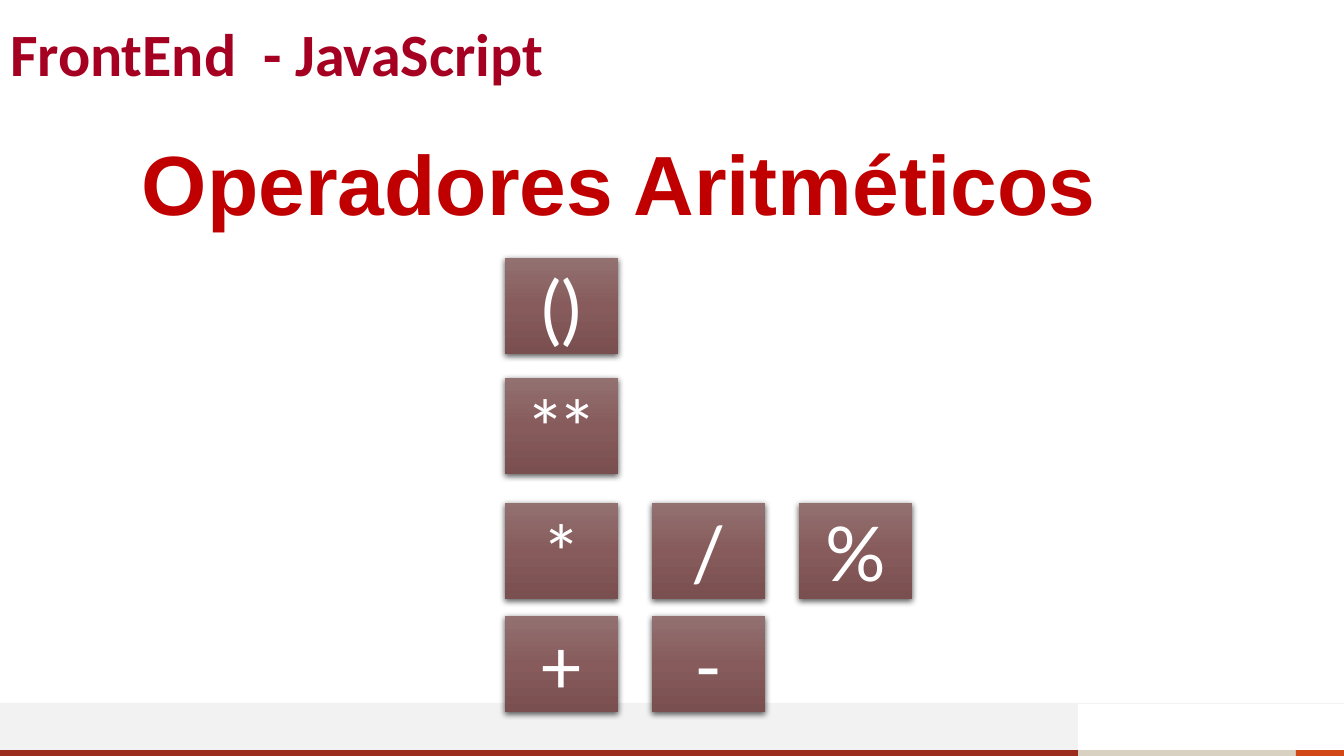
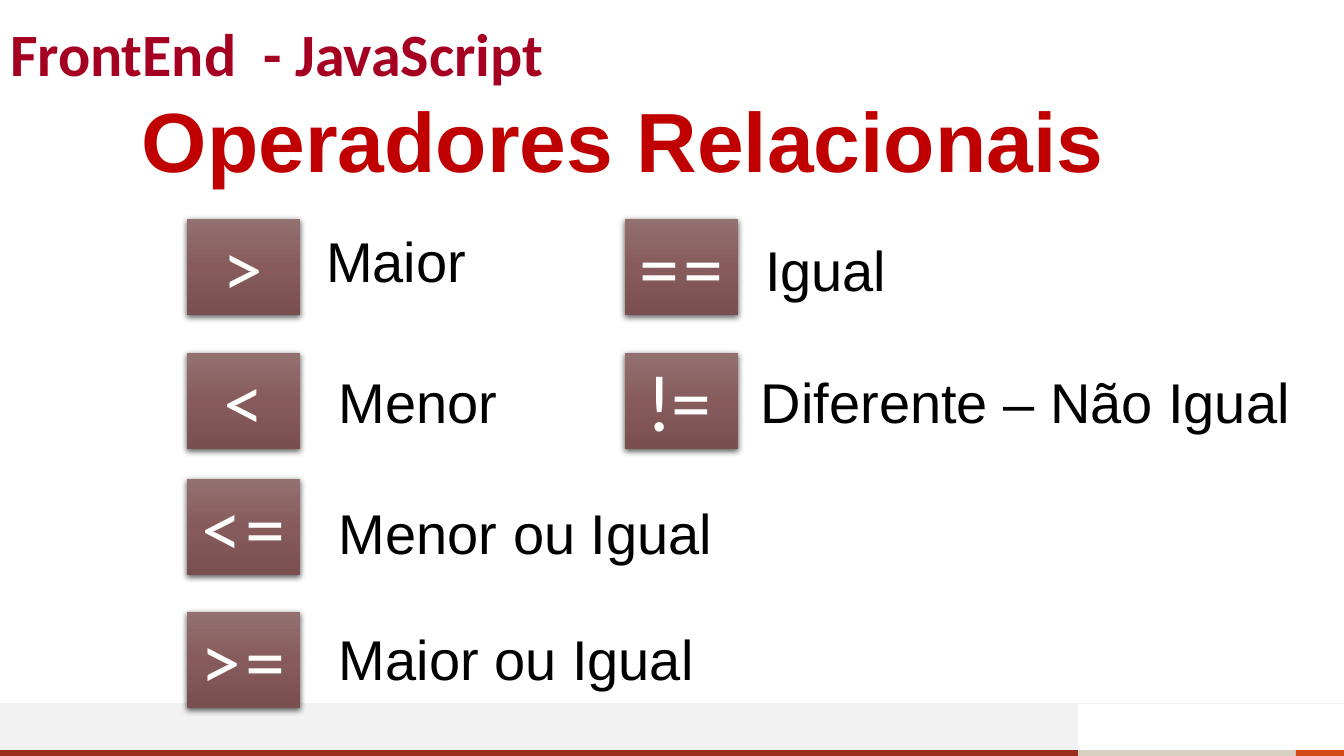
"""Build two slides on JavaScript arithmetic and relational operators."""
from dataclasses import dataclass

from lxml import etree
from pptx import Presentation
from pptx import util as u
from pptx.dml.color import RGBColor
from pptx.enum import shapes, text
from pptx.oxml import ns, parse_xml


@dataclass(frozen=True)
class Theme:
    head: str = "A50021"
    title: str = "C00000"
    ink: str = "000000"
    white: str = "FFFFFF"
    rust: str = "9B2D1F"
    sand: str = "D8D0C0"
    flame: str = "D34817"
    pale: str = "F2F2F2"
    tile: tuple = ((0, "937171"), (50, "875B5B"), (100, "7A4F4F"))
    sans: str = "Arial"
    top: str = "Calibri"
    sign: str = "Lato"
    head_pt: float = 42.9
    title_pt: int = 60
    sign_pt: int = 54
    label_pt: int = 40


T = Theme()
WIDE, HIGH = 1344, 756
TILE_W, TILE_H, STEP = 113, 96, 147
HEADER = "FrontEnd  - JavaScript"
BANDS = [
    (1078, 750, 218, 6, T.sand),
    (0, 703, 1078, 47, T.pale),
    (0, 750, 1078, 6, T.rust),
    (1296, 750, 48, 6, T.flame),
]
MATH = {
    "title": "Operadores Aritméticos",
    "top": 145,
    "left": 505,
    "rows": [(258, ["()"]), (378, ["**"]), (503, ["*", "/", "%"]), (616, ["+", "-"])],
}
TESTS = {
    "title": "Operadores Relacionais",
    "top": 102,
    "rows": [219, 353, 479, 612],
    "cols": [
        (187, 420, [(">", "Maior", 316, 222), ("<", "Menor", 329, 362),
                    ("<=", "Menor ou Igual", 329, 494),
                    (">=", "Maior ou Igual", 329, 620)]),
        (625, 570, [("==", "Igual", 755, 230),
                    ("!=", "Diferente – Não Igual", 751, 362)]),
    ],
}


def px(*nums):
    return [u.Emu(round(n * 914400 / 100.8)) for n in nums]


def write(shape, words, size, color, font=T.sans, bold=False, align="LEFT",
          anchor="MIDDLE", space=1.0, pad=5):
    frame = shape.text_frame
    frame.word_wrap = True
    frame.auto_size = text.MSO_AUTO_SIZE.NONE
    frame.vertical_anchor = getattr(text.MSO_ANCHOR, anchor)
    frame.margin_top, frame.margin_bottom = px(pad, pad)
    frame.margin_left, frame.margin_right = px(10, 10)
    para = frame.paragraphs[0]
    para.alignment = getattr(text.PP_ALIGN, align)
    para.line_spacing = space
    run = para.add_run()
    run.text = words
    run.font.size, run.font.name, run.font.bold = u.Pt(size), font, bold
    run.font.color.rgb = RGBColor.from_string(color)


def box(slide, *at):
    return slide.shapes.add_shape(shapes.MSO_SHAPE.RECTANGLE, *px(*at))


def frame_bands(slide, layout):
    parts = []
    for *at, color in BANDS:
        band = box(slide, *at)
        band.shadow.inherit = False
        band.fill.solid()
        band.fill.fore_color.rgb = RGBColor.from_string(color)
        band.line.fill.background()
        parts.append(band)
    rule = slide.shapes.add_connector(shapes.MSO_CONNECTOR.STRAIGHT, *px(WIDE, 703, 0, 703))
    rule.line.color.rgb = RGBColor.from_string(T.pale)
    rule.line.width = u.Pt(0.5)
    etree.SubElement(rule._element.spPr, ns.qn("a:effectLst"))
    for part in parts + [rule]:
        layout.shapes._spTree.append(part._element)


def add_tile(slide, x, y, sign):
    tile = box(slide, x, y, TILE_W, TILE_H)
    stops = "".join(f'<a:gs pos="{at * 1000}"><a:srgbClr val="{color}"/></a:gs>'
                    for at, color in T.tile)
    props = tile._element.spPr
    props.append(parse_xml(
        f'<a:gradFill {ns.nsdecls("a")}><a:gsLst>{stops}</a:gsLst>'
        '<a:lin ang="5400000" scaled="0"/></a:gradFill>'))
    tile.line.fill.background()
    props.append(parse_xml(
        f'<a:effectLst {ns.nsdecls("a")}><a:outerShdw blurRad="{u.Pt(4.5)}" '
        f'dist="{u.Pt(1.5)}" dir="5400000" algn="ctr" rotWithShape="0">'
        '<a:srgbClr val="000000"><a:alpha val="63000"/></a:srgbClr>'
        '</a:outerShdw></a:effectLst>'))
    write(tile, sign, T.sign_pt, T.white, font=T.sign, align="CENTER")


def add_slide(deck, layout, data):
    slide = deck.slides.add_slide(layout)
    head = slide.shapes.add_textbox(*px(0, 22, 1159, 75))
    write(head, HEADER, T.head_pt, T.head, font=T.top, bold=True, space=0.8)
    title = slide.shapes.title
    title.left, title.top, title.width, title.height = px(132, data["top"], 1121, 87)
    write(title, data["title"], T.title_pt, T.title, bold=True, space=0.9, pad=0)
    return slide


def main():
    deck = Presentation()
    deck.slide_width, deck.slide_height = px(WIDE, HIGH)
    layout = deck.slide_layouts[5]

    slide = add_slide(deck, layout, MATH)
    frame_bands(slide, layout)
    for y, signs in MATH["rows"]:
        for i, sign in enumerate(signs):
            add_tile(slide, MATH["left"] + i * STEP, y, sign)

    slide = add_slide(deck, layout, TESTS)
    for left, wide, items in TESTS["cols"]:
        for y, (sign, label, x, top) in zip(TESTS["rows"], items):
            add_tile(slide, left, y, sign)
            note = slide.shapes.add_textbox(*px(x, top, wide, 78))
            write(note, label, T.label_pt, T.ink, anchor="TOP")

    deck.save("out.pptx")


if __name__ == "__main__":
    main()
